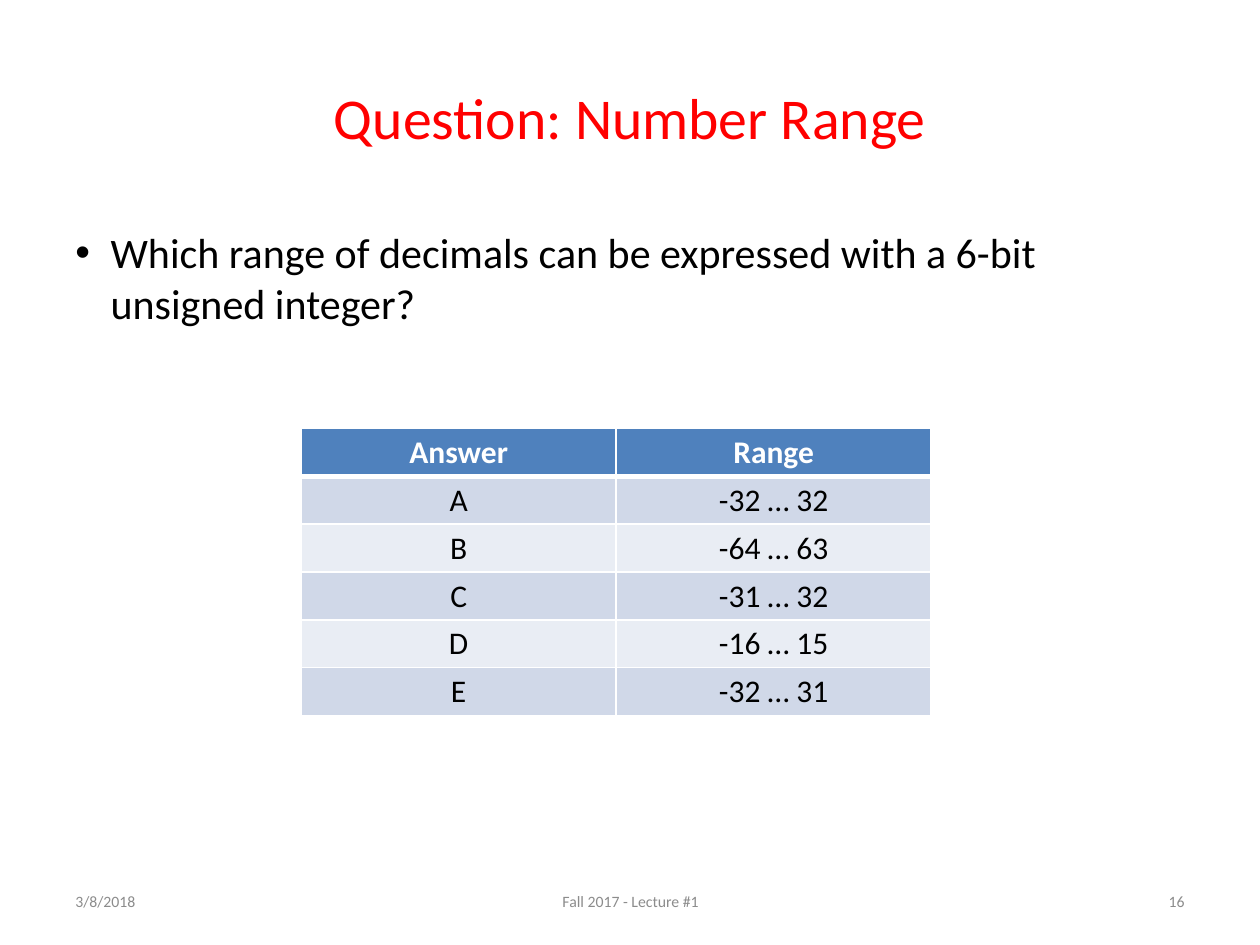
from dataclasses import dataclass

from lxml import etree
from pptx import Presentation
from pptx.dml.color import RGBColor
from pptx.enum.text import MSO_ANCHOR, PP_ALIGN
from pptx.oxml.ns import qn
from pptx.util import Inches, Pt

LEFT, MID, RIGHT = PP_ALIGN.LEFT, PP_ALIGN.CENTER, PP_ALIGN.RIGHT
TOP, CENTER = MSO_ANCHOR.TOP, MSO_ANCHOR.MIDDLE
BLANK = 6
WHITE, BLACK, GREY, RED = "FFFFFF", "000000", "8C8C8C", "FF0000"
HEAD, BANDS = "4F81BD", ("D0D8E8", "E9EDF4")
ROWS = [
    ("Answer", "Range"),
    ("A", "-32 … 32"),
    ("B", "-64 … 63"),
    ("C", "-31 … 32"),
    ("D", "-16 … 15"),
    ("E", "-32 … 31"),
]


@dataclass
class Label:
    text: str
    left: float
    top: float
    width: float
    height: float
    size: float
    color: str
    align: PP_ALIGN = LEFT
    anchor: MSO_ANCHOR = CENTER
    bullet: bool = False


FOOT = {"top": 6.95, "height": 0.4, "size": 9, "color": GREY}
LABELS = [
    Label("Question: Number Range", 0.5, 0.3, 9, 1.25, 33, RED, MID),
    Label("Which range of decimals can be expressed with a 6-bit unsigned integer?",
          0.5, 1.75, 9, 4.95, 24, BLACK, anchor=TOP, bullet=True),
    Label("3/8/2018", left=0.5, width=2.33, **FOOT),
    Label("16", left=7.17, width=2.33, align=RIGHT, **FOOT),
    Label("Fall 2017 - Lecture #1", left=3.42, width=3.17, align=MID, **FOOT),
]


def rgb(code: str) -> RGBColor:
    return RGBColor.from_string(code)


def apply(item, values: dict) -> None:
    for name, value in values.items():
        setattr(item, name, value)


def write(para, text: str, size: float, color: str, align, bold=False) -> None:
    para.alignment = align
    run = para.add_run()
    run.text = text
    apply(run.font, {"name": "Calibri", "size": Pt(size), "bold": bold})
    run.font.color.rgb = rgb(color)


def add_bullet(para) -> None:
    props = para._p.get_or_add_pPr()
    props.set("marL", str(Inches(0.28)))
    props.set("indent", str(-Inches(0.28)))
    etree.SubElement(props, qn("a:buFont"), typeface="Arial")
    etree.SubElement(props, qn("a:buChar"), char="•")


def add_label(slide, label: Label) -> None:
    box = slide.shapes.add_textbox(Inches(label.left), Inches(label.top),
                                   Inches(label.width), Inches(label.height))
    frame = box.text_frame
    apply(frame, {"word_wrap": True, "vertical_anchor": label.anchor})
    para = frame.paragraphs[0]
    if label.bullet:
        add_bullet(para)
    write(para, label.text, label.size, label.color, label.align)


def add_edge(cell, side: str, width: float) -> None:
    line = etree.SubElement(cell._tc.get_or_add_tcPr(), qn(f"a:ln{side}"),
                            w=str(Pt(width)))
    fill = etree.SubElement(line, qn("a:solidFill"))
    etree.SubElement(fill, qn("a:srgbClr"), val=WHITE)


def add_grid(slide) -> None:
    table = slide.shapes.add_table(len(ROWS), len(ROWS[0]), Inches(2.39),
                                   Inches(3.4), Inches(5), Inches(2.28)).table
    margins = {"margin_left": Inches(0.07), "margin_right": Inches(0.07),
               "margin_top": Inches(0.04), "margin_bottom": Inches(0.04)}
    for i, row in enumerate(ROWS):
        table.rows[i].height = Inches(0.38)
        head = i == 0
        # The rule between header and body is thicker than the others.
        edges = {"L": 1, "R": 1, "T": 3 if i == 1 else 1, "B": 3 if head else 1}
        for j, text in enumerate(row):
            cell = table.cell(i, j)
            apply(cell, margins)
            for side, width in edges.items():
                add_edge(cell, side, width)
            cell.fill.solid()
            cell.fill.fore_color.rgb = rgb(HEAD if head else BANDS[(i - 1) % 2])
            write(cell.text_frame.paragraphs[0], text, 18,
                  WHITE if head else BLACK, MID, head)


def main() -> None:
    deck = Presentation()
    apply(deck, {"slide_width": Inches(10), "slide_height": Inches(7.5)})
    slide = deck.slides.add_slide(deck.slide_layouts[BLANK])
    for label in LABELS:
        add_label(slide, label)
    add_grid(slide)
    deck.save("out.pptx")


if __name__ == "__main__":
    main()
